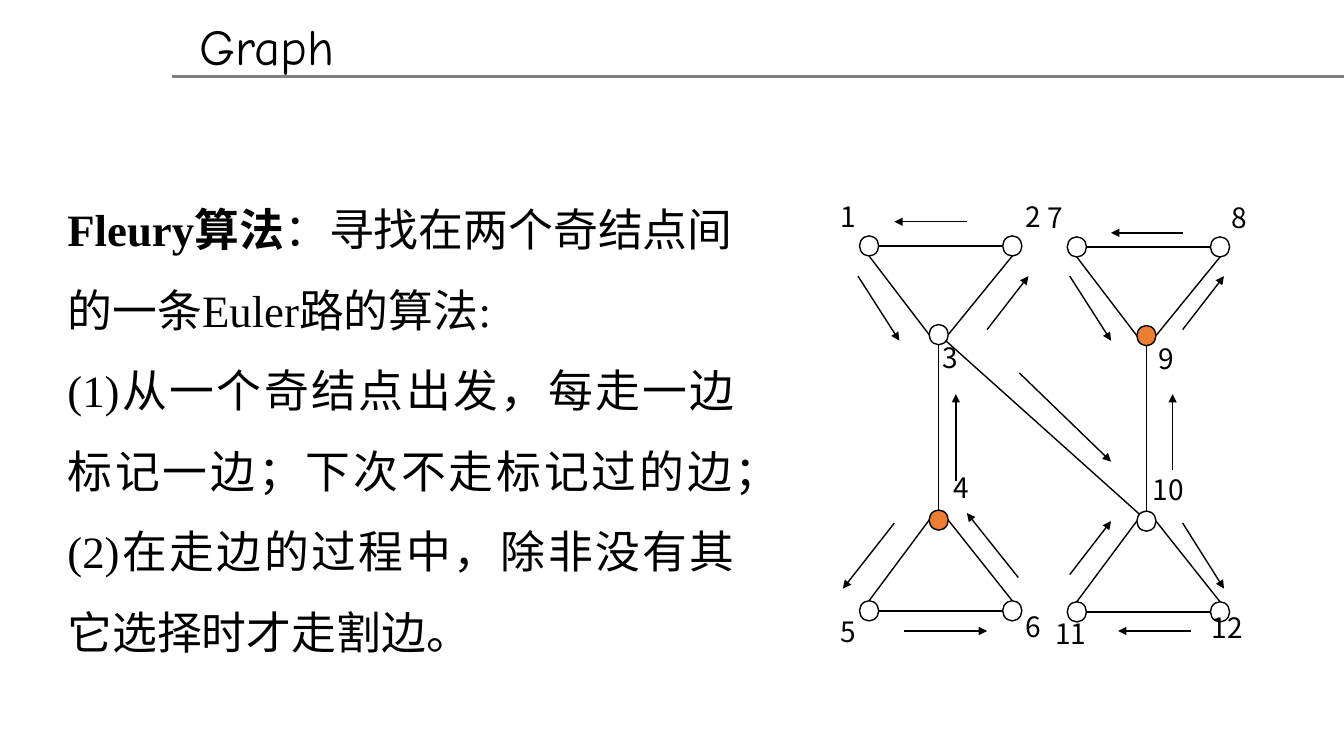
import pptx
import pptx.dml.color
import pptx.enum.shapes
import pptx.enum.text
import pptx.oxml.ns
import pptx.util
from lxml import etree

ALIGN = pptx.enum.text.PP_ALIGN
ANCHOR = pptx.enum.text.MSO_ANCHOR
SANS = "Noto Sans CJK SC"
BLACK, ORANGE, GREY = "000000", "ED7D31", "808080"
WIDTH, HEIGHT = 13.33, 7.5

# Hourglass: node centres relative to its own origin
LEFT, HUB, RIGHT = 0.35, 1.04, 1.77
TOP, UPPER_HUB, LOWER_HUB, BOTTOM = 0.46, 1.34, 3.18, 4.08
NODE_W, NODE_H = 0.19, 0.2
NEXT_HOURGLASS = (2.06, 0.01)

# Node number: centre and top, relative to the diagram
NUMBERS = {
    1: (0.14, 0), 2: (1.98, 0), 3: (1.16, 1.4),
    4: (1.26, 2.69), 5: (0.14, 4.12), 6: (1.98, 4.07),
    7: (2.2, 0.01), 8: (4.02, 0.01), 9: (3.3, 1.41),
    10: (3.32, 2.71), 11: (2.35, 4.14), 12: (3.9, 4.08),
}

# Steps of the walk: start and end, relative to the diagram
STEPS = [
    (0.6, 3.21, 0.09, 3.86), (0.7, 4.28, 1.52, 4.28),
    (1.83, 3.75, 1.32, 3.11), (1.21, 2.79, 1.21, 1.93),
    (1.52, 1.29, 1.93, 0.76), (1.32, 0.22, 0.6, 0.22),
    (0.24, 0.76, 0.65, 1.4), (1.84, 1.72, 2.75, 2.6),
    (3.46, 3.21, 3.87, 3.86), (3.54, 4.28, 2.82, 4.28),
    (2.34, 3.72, 2.75, 3.19), (3.36, 2.68, 3.36, 1.93),
    (3.46, 1.29, 3.87, 0.76), (3.46, 0.33, 2.75, 0.33),
    (2.34, 0.76, 2.75, 1.4),
]

ALGORITHM = [
    [("Fleury算法", True), ("：寻找在两个奇结点间的一条Euler路的算法:", False)],
    [("(1)从一个奇结点出发，每走一边标记一边；下次不走标记过的边；", False)],
    [("(2)在走边的过程中，除非没有其它选择时才走割边。", False)],
]


def colour(value):
    return pptx.dml.color.RGBColor.from_string(value)


def inches(*lengths):
    return [pptx.util.Inches(length) for length in lengths]


def style(paragraph, size, face, align=ALIGN.LEFT):
    """Format a whole paragraph, East Asian characters included."""
    paragraph.alignment = align
    font = paragraph.font
    font.size = pptx.util.Pt(size)
    font.name = face
    font.color.rgb = colour(BLACK)
    for run in paragraph.runs:
        east_asian = etree.SubElement(run._r.get_or_add_rPr(), pptx.oxml.ns.qn("a:ea"))
        east_asian.set("typeface", SANS)


def add_text(slide, box):
    frame = slide.shapes.add_textbox(*inches(*box)).text_frame
    frame.word_wrap = True
    return frame


def add_line(slide, start, end, ink=BLACK, weight=1, arrow=False):
    line = slide.shapes.add_connector(
        pptx.enum.shapes.MSO_CONNECTOR.STRAIGHT, *inches(*start, *end))
    line.line.color.rgb = colour(ink)
    line.line.width = pptx.util.Pt(weight)
    if arrow:
        head = etree.SubElement(line.line._get_or_add_ln(), pptx.oxml.ns.qn("a:tailEnd"))
        head.set("type", "triangle")
    etree.SubElement(line._element.spPr, pptx.oxml.ns.qn("a:effectLst"))


def add_header(slide, box):
    x, y, width, height = box
    # Rule under the title
    add_line(slide, (x + 1.71, y + height), (x + width, y + height), GREY, 2)
    # Title
    title = slide.shapes.title
    title.left, title.top, title.width, title.height = inches(x + 1.88, y + 0.1, 8.62, 0.71)
    title.text_frame.text = "Graph"
    title.text_frame.vertical_anchor = ANCHOR.MIDDLE
    style(title.text_frame.paragraphs[0], 36, "Comic Neue")


def add_algorithm(slide, box):
    frame = add_text(slide, box)
    for index, pieces in enumerate(ALGORITHM):
        paragraph = frame.add_paragraph() if index else frame.paragraphs[0]
        for words, bold in pieces:
            run = paragraph.add_run()
            run.text = words
            if bold:
                run.font.bold = True
        style(paragraph, 32, "Times New Roman", ALIGN.JUSTIFY if index else ALIGN.LEFT)
        paragraph.line_spacing = pptx.util.Pt(57.5)


def add_hourglass(slide, origin, odd_hub):
    x, y = origin
    rx, ry = NODE_W / 2, NODE_H / 2
    # Triangles, each with two corners and a hub
    for corner_y, hub_y, toward in ((TOP, UPPER_HUB, 1), (BOTTOM, LOWER_HUB, -1)):
        add_line(slide, (x + LEFT + rx, y + corner_y), (x + RIGHT - rx, y + corner_y))
        for corner_x, side in ((LEFT, -1), (RIGHT, 1)):
            add_line(slide, (x + corner_x, y + corner_y + toward * ry),
                     (x + HUB + side * rx, y + hub_y))
    # Bridge between the hubs
    add_line(slide, (x + HUB, y + UPPER_HUB + ry), (x + HUB, y + LOWER_HUB - ry))
    # Nodes
    nodes = [(column, row) for row in (TOP, BOTTOM) for column in (LEFT, RIGHT)]
    for column, row in nodes + [(HUB, UPPER_HUB), (HUB, LOWER_HUB)]:
        node = slide.shapes.add_shape(
            pptx.enum.shapes.MSO_SHAPE.OVAL,
            *inches(x + column - rx, y + row - ry, NODE_W, NODE_H))
        node.shadow.inherit = False
        node.line.color.rgb = colour(BLACK)
        node.line.width = pptx.util.Pt(1)
        if (column, row) == (HUB, odd_hub):
            node.fill.solid()
            node.fill.fore_color.rgb = colour(ORANGE)
        else:
            node.fill.background()


def add_graph(slide, box):
    x, y = box[:2]
    dx, dy = NEXT_HOURGLASS
    add_hourglass(slide, (x, y), LOWER_HUB)
    add_hourglass(slide, (x + dx, y + dy), UPPER_HUB)
    # Cut edge from node 3 to node 10
    add_line(slide, (x + HUB + 0.07, y + UPPER_HUB + 0.06),
             (x + dx + HUB - 0.07, y + dy + LOWER_HUB - 0.07))
    # Node numbers
    for number, (centre, top) in NUMBERS.items():
        frame = add_text(slide, (x + centre - 0.25, y + top, 0.5, 0.43))
        frame.margin_left = frame.margin_right = 0
        frame.margin_top = frame.margin_bottom = 0
        frame.text = str(number)
        style(frame.paragraphs[0], 20, SANS, ALIGN.CENTER)
    # Walk
    for x1, y1, x2, y2 in STEPS:
        add_line(slide, (x + x1, y + y1), (x + x2, y + y2), arrow=True)


def main():
    deck = pptx.Presentation()
    deck.slide_width, deck.slide_height = inches(WIDTH, HEIGHT)
    slide = deck.slides.add_slide(deck.slide_layouts[5])
    add_header(slide, (0, 0, WIDTH, 0.76))
    add_algorithm(slide, (0.57, 1.69, 6.82, 5.43))
    add_graph(slide, (8.27, 1.98, 4.17, 4.57))
    deck.save("out.pptx")


if __name__ == "__main__":
    main()
